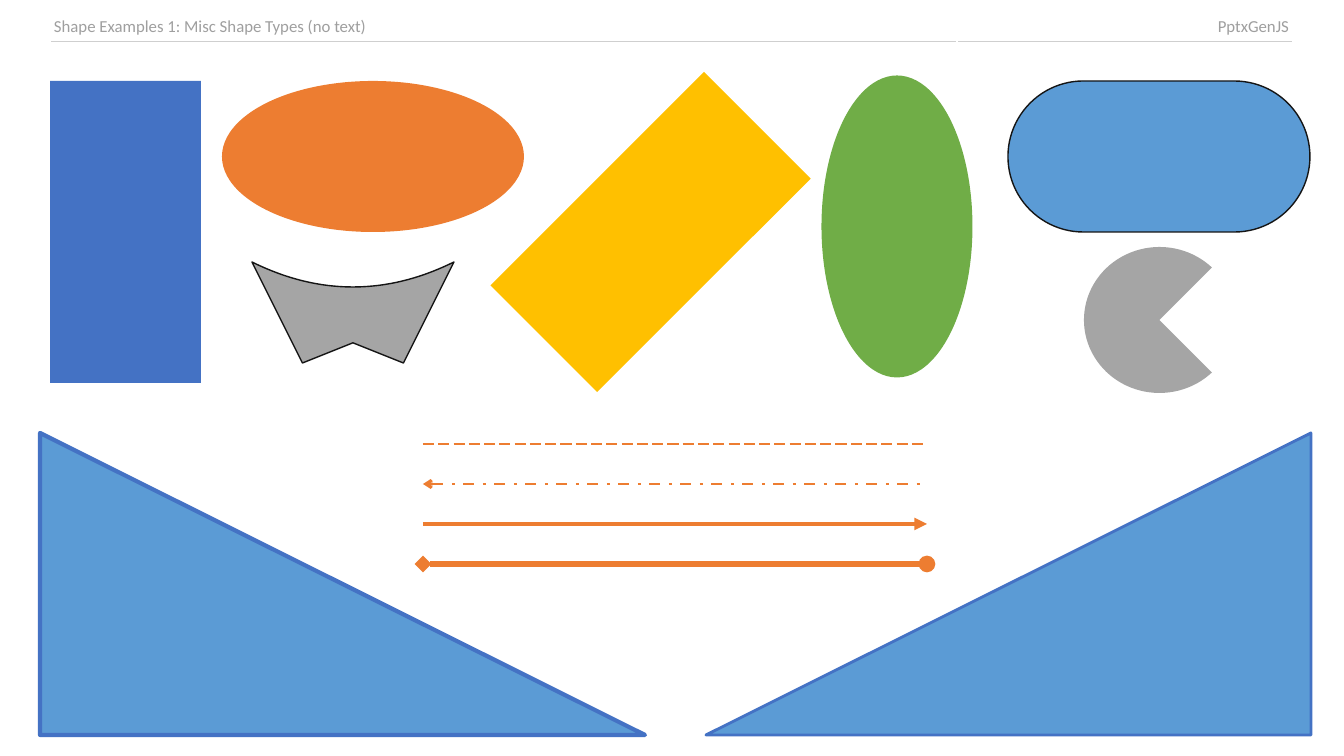
from lxml import etree
from pptx import Presentation
from pptx.dml.color import RGBColor
from pptx.enum.dml import MSO_LINE
from pptx.enum.shapes import MSO_CONNECTOR, MSO_SHAPE
from pptx.enum.text import PP_ALIGN
from pptx.oxml.ns import qn
from pptx.util import Emu, Pt

RECT, OVAL, ROUNDED = MSO_SHAPE.RECTANGLE, MSO_SHAPE.OVAL, MSO_SHAPE.ROUNDED_RECTANGLE
ARC, TRIANGLE = MSO_SHAPE.ARC, MSO_SHAPE.RIGHT_TRIANGLE
STRAIGHT = MSO_CONNECTOR.STRAIGHT
LONG_DASH, DASH_DOT = MSO_LINE.LONG_DASH, MSO_LINE.DASH_DOT
LEFT, RIGHT = PP_ALIGN.LEFT, PP_ALIGN.RIGHT

COLORS = {
    "blue": "4472C4", "orange": "ED7D31", "gray": "A5A5A5", "gold": "FFC000",
    "green": "70AD47", "sky": "5B9BD5", "ink": "151515",
    "header": "9F9F9F", "rule": "CFCFCF",
}
PIXELS_PER_INCH = 100.8


def px(length):
    """Turn pixels into EMU."""
    return Emu(round(length * 914400 / PIXELS_PER_INCH))


def rgb(name):
    """Look up a colour by name."""
    return RGBColor.from_string(COLORS[name])


class ShapeSlide:
    """Holds the text style and the current slide."""

    font, font_size = "Calibri", 12

    def __init__(self, slide):
        """Keep the slide to draw on."""
        self.slide = slide

    def paint(self, shape, fill, outline=None, weight=1):
        """Set fill and outline, without shadow."""
        shape.shadow.inherit = False
        shape.fill.solid()
        shape.fill.fore_color.rgb = rgb(fill)
        if outline:
            shape.line.color.rgb = rgb(outline)
            shape.line.width = Pt(weight)
        else:
            shape.line.fill.background()

    def preset(self, kind, box, fill, outline=None, weight=1,
               rotation=0, adjustments=(), mirrored=False):
        """Add a preset shape."""
        shape = self.slide.shapes.add_shape(kind, *map(px, box))
        for index, value in enumerate(adjustments):
            shape.adjustments[index] = value
        shape.rotation = rotation
        if mirrored:
            shape._element.spPr.xfrm.set("flipH", "1")
        self.paint(shape, fill, outline, weight)

    def outline_shape(self, points, fill, outline):
        """Add a closed freeform through the points."""
        corners = [(px(x), px(y)) for x, y in points]
        builder = self.slide.shapes.build_freeform(*corners[0])
        builder.add_line_segments(corners[1:], close=True)
        self.paint(builder.convert_to_shape(), fill, outline)

    def line(self, left, right, y, color, weight, dash=None, head=None, tail=None):
        """Add a horizontal line with optional dash and line ends."""
        connector = self.slide.shapes.add_connector(
            STRAIGHT, px(left), px(y), px(right), px(y))
        connector.line.color.rgb = rgb(color)
        connector.line.width = Pt(weight)
        if dash:
            connector.line.dash_style = dash
        stroke = connector.line._get_or_add_ln()
        for tag, end in (("a:headEnd", head), ("a:tailEnd", tail)):
            if end:
                etree.SubElement(stroke, qn(tag), type=end)
        etree.SubElement(connector._element.spPr, qn("a:effectLst"))

    def header(self, box, widths, entries):
        """Add a one-row table ruled along its bottom edge."""
        table = self.slide.shapes.add_table(1, len(widths), *map(px, box)).table
        table.first_row = table.horz_banding = False
        for column, width in zip(table.columns, widths):
            column.width = px(width)
        for cell, (text, alignment) in zip(table.rows[0].cells, entries):
            cell.margin_left = cell.margin_right = px(4)
            cell.margin_top = cell.margin_bottom = px(4)
            paragraph = cell.text_frame.paragraphs[0]
            paragraph.alignment = alignment
            run = paragraph.add_run()
            run.text = text
            run.font.name, run.font.size = self.font, Pt(self.font_size)
            run.font.color.rgb = rgb("header")
            cell.fill.background()
            self.bottom_rule(cell)

    def bottom_rule(self, cell):
        """Draw the bottom border of a cell."""
        border = etree.Element(qn("a:lnB"), w=str(Pt(1)))
        fill = etree.SubElement(border, qn("a:solidFill"))
        etree.SubElement(fill, qn("a:srgbClr"), val=COLORS["rule"])
        cell._tc.get_or_add_tcPr().insert(0, border)


def wing_points(left, top, width, height, dip, steps=40):
    """Return a notched outline whose top edge sags as a parabola."""
    base = [(0, 0), (0.25, 1), (0.5, 0.8), (0.75, 1)]
    corners = [(left + width * x, top + height * y) for x, y in base]
    sag = [(left + width * (1 - t), top + 4 * dip * t * (1 - t))
           for t in (step / steps for step in range(steps))]
    return corners + sag


def main():
    """Build the slide and save it."""
    deck = Presentation()
    deck.slide_width, deck.slide_height = px(1344), px(756)
    page = ShapeSlide(deck.slides.add_slide(deck.slide_layouts[6]))

    page.header((50, 13, 1243, 28), (907, 336), [
        ("Shape Examples 1: Misc Shape Types (no text)", LEFT), ("PptxGenJS", RIGHT)])

    page.preset(RECT, (50, 81, 151, 302), "blue")
    page.preset(OVAL, (222, 81, 302, 151), "orange")
    page.outline_shape(wing_points(252, 262, 202, 101, 25), "gray", "ink")
    page.preset(RECT, (575, 81, 151, 302), "gold", rotation=45)
    page.preset(OVAL, (746, 151, 302, 151), "green", rotation=90)
    page.preset(ROUNDED, (1008, 81, 302, 151), "sky", "ink", adjustments=[0.5])
    page.preset(ARC, (1084, 247, 151, 146), "gray", adjustments=[27, 189])

    line_styles = [
        {"dash": LONG_DASH},
        {"dash": DASH_DOT, "head": "arrow"},
        {"tail": "triangle"},
        {"head": "diamond", "tail": "oval"},
    ]
    for index, style in enumerate(line_styles):
        page.line(423, 927, 444 + 40 * index, "orange", index + 1, **style)

    page.preset(TRIANGLE, (40, 433, 605, 302), "sky", "blue", 3)
    page.preset(TRIANGLE, (706, 433, 605, 302), "sky", "blue", 2, mirrored=True)

    deck.save("out.pptx")


main()
